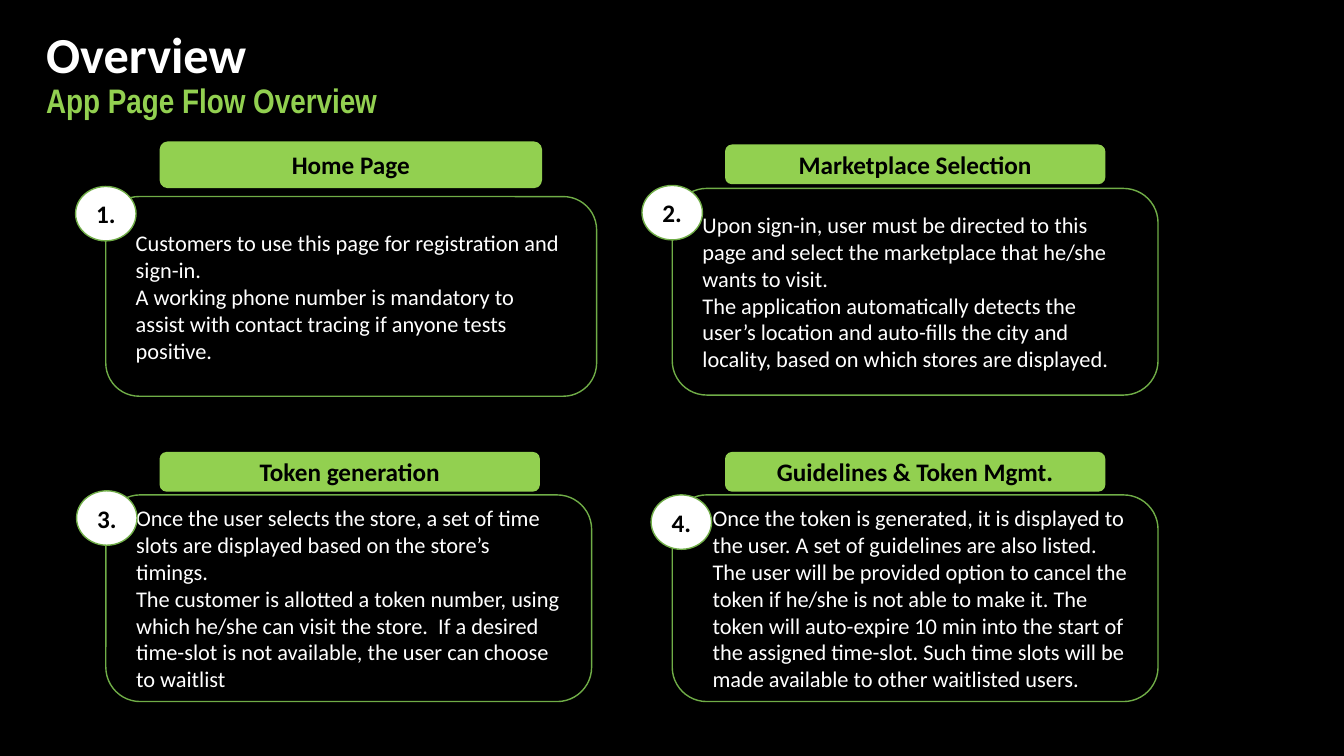
"""Build the app page flow overview slide."""
from dataclasses import dataclass

from pptx import Presentation
from pptx.dml.color import RGBColor
from pptx.enum.shapes import MSO_SHAPE as Preset
from pptx.enum.text import MSO_ANCHOR as Anchor, PP_ALIGN as Align
from pptx.util import Pt

COLORS = {"black": "000000", "white": "FFFFFF", "lime": "92D050", "leaf": "70AD47"}
LEFT, RIGHT = 75.6, 480.2
BODY_SIZE = (347, 147.6)
HEADING_SIZE = (270.7, 27.4)
BADGE_SIZE = (43.2, 38.9)


@dataclass
class Page:
    """One page of the app flow and where its parts sit."""
    heading: str
    details: tuple
    body_frame: tuple
    heading_frame: tuple
    badge_corner: tuple
    insets: tuple = (14.4, 7.2)


PAGES = [
    Page("Home Page",
         ("Customers to use this page for registration and sign-in. ",
          "A working phone number is mandatory to assist with contact tracing "
          "if anyone tests positive."),
         (LEFT, 140.4, 350.6, 142.6), (114.5, 101.5, 272.2, 32.4),
         (54, 133.2), (14.4, 3.6)),
    Page("Marketplace Selection",
         ("Upon sign-in, user must be directed to this page and select the "
          "marketplace that he/she wants to visit. ",
          "The application automatically detects the user’s location and "
          "auto-fills the city and locality, based on which stores are displayed."),
         (RIGHT, 134.6, *BODY_SIZE), (518.4, 103.7, *HEADING_SIZE), (458.6, 132.5)),
    Page("Token generation",
         ("Once the user selects the store, a set of time slots are displayed "
          "based on the store’s timings. ",
          "The customer is allotted a token number, using which he/she can visit "
          "the store.  If a desired time-slot is not available, the user can "
          "choose to waitlist"),
         (LEFT, 353.5, *BODY_SIZE), (114.5, 323.3, *HEADING_SIZE), (54.7, 350.6)),
    Page("Guidelines & Token Mgmt.",
         ("Once the token is generated, it is displayed to the user. A set of "
          "guidelines are also listed.",
          "The user will be provided option to cancel the token if he/she is not "
          "able to make it. The token will auto-expire 10 min into the start of "
          "the assigned time-slot. Such time slots will be made available to "
          "other waitlisted users."),
         (RIGHT, 353.5, *BODY_SIZE), (518.4, 323.3, *HEADING_SIZE),
         (465.1, 353.5), (21.6, 7.2)),
]


def rgb(name):
    """Look up a colour by name."""
    return RGBColor.from_string(COLORS[name])


def add_run(paragraph, text, size, color, bold=False, face="Calibri"):
    """Append one styled run."""
    run = paragraph.add_run()
    run.text = text
    run.font.size, run.font.bold, run.font.name = Pt(size), bold, face
    run.font.color.rgb = rgb(color)


def add_panel(slide, preset, frame, fill, outline):
    """Add an outlined preset shape and return its text frame."""
    panel = slide.shapes.add_shape(preset, *map(Pt, frame))
    panel.shadow.inherit = False
    if fill:
        panel.fill.solid()
        panel.fill.fore_color.rgb = rgb(fill)
    else:
        panel.fill.background()
    panel.line.color.rgb = rgb(outline)
    panel.line.width = Pt(1)
    panel.text_frame.word_wrap = True
    panel.text_frame.vertical_anchor = Anchor.MIDDLE
    return panel.text_frame


def add_label(slide, preset, frame, fill, outline, text):
    """Add a filled shape with a bold centred label."""
    paragraph = add_panel(slide, preset, frame, fill, outline).paragraphs[0]
    paragraph.alignment = Align.CENTER
    add_run(paragraph, text, 18, "black", bold=True)


def add_body(slide, page):
    """Add the outlined description of a page."""
    body = add_panel(slide, Preset.ROUNDED_RECTANGLE, page.body_frame, None, "leaf")
    left, vertical = page.insets
    body.margin_left, body.margin_right = Pt(left), Pt(14.4)
    body.margin_top = body.margin_bottom = Pt(vertical)
    for index, detail in enumerate(page.details):
        paragraph = body.add_paragraph() if index else body.paragraphs[0]
        paragraph.alignment = Align.LEFT
        add_run(paragraph, detail, 16, "white")


def add_title(slide):
    """Add the title with its subtitle line."""
    title = slide.shapes.add_textbox(Pt(25.9), Pt(16.6), Pt(828), Pt(74.9))
    title.fill.solid()
    title.fill.fore_color.rgb = rgb("black")
    title.text_frame.word_wrap = True
    title.text_frame.vertical_anchor = Anchor.MIDDLE
    paragraph = title.text_frame.paragraphs[0]
    paragraph.line_spacing = 0.9
    add_run(paragraph, "Overview", 36, "white", bold=True)
    paragraph.add_line_break()
    add_run(paragraph, "App Page Flow Overview", 24.3, "lime", True, "Arial Narrow")


def main():
    """Assemble and save the slide."""
    deck = Presentation()
    deck.slide_width, deck.slide_height = Pt(960), Pt(540)
    slide = deck.slides.add_slide(deck.slide_layouts[6])
    slide.background.fill.solid()
    slide.background.fill.fore_color.rgb = rgb("black")
    add_title(slide)
    for page in PAGES:
        add_body(slide, page)
    for number, page in enumerate(PAGES, 1):
        add_label(slide, Preset.OVAL, (*page.badge_corner, *BADGE_SIZE),
                  "white", "leaf", f"{number}.")
    for page in PAGES:
        add_label(slide, Preset.ROUNDED_RECTANGLE, page.heading_frame,
                  "lime", "lime", page.heading)
    deck.save("out.pptx")


main()
